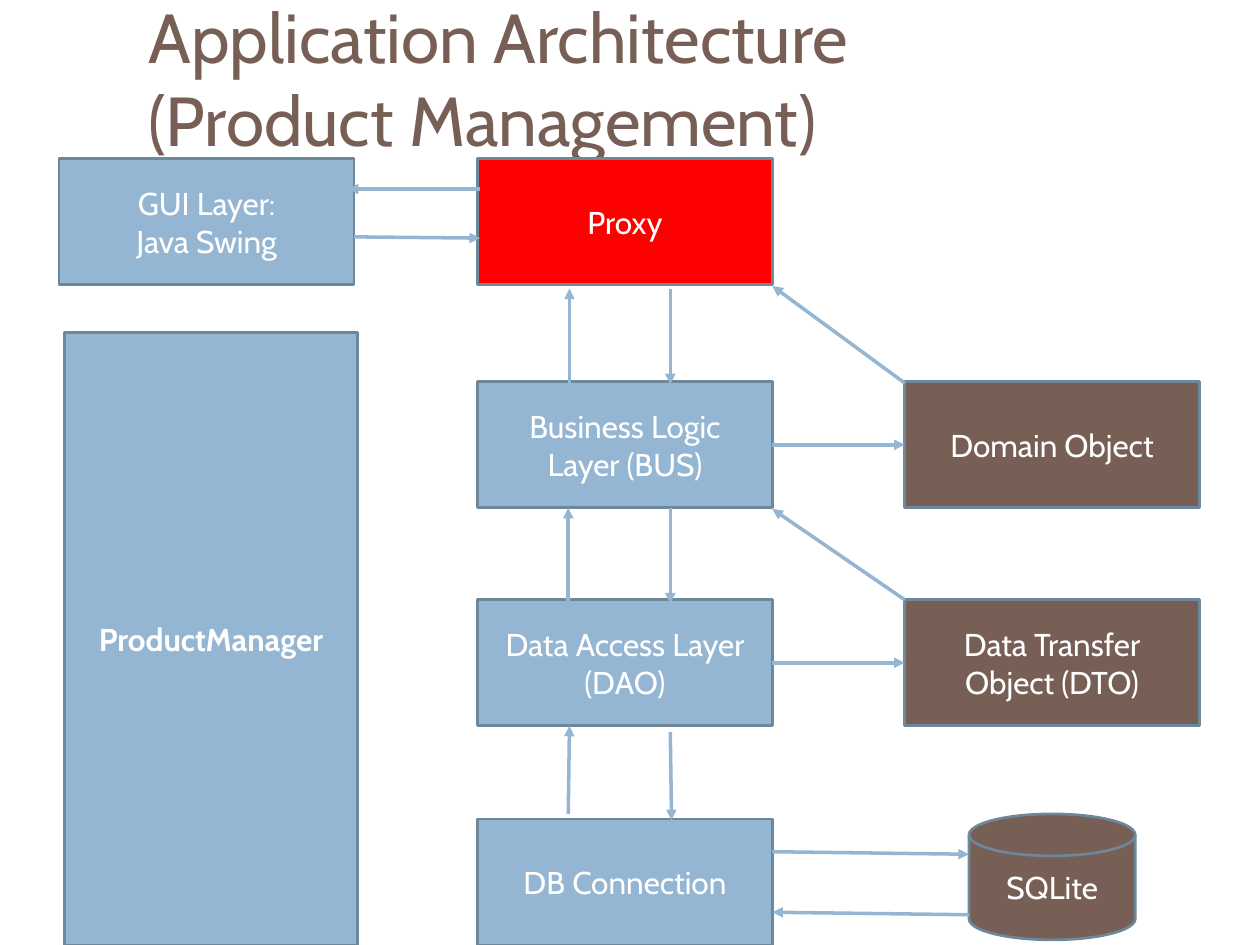
import pptx
import pptx.util
import pptx.dml.color
import pptx.enum.shapes
import pptx.enum.text
import pptx.oxml
import pptx.oxml.ns
from dataclasses import dataclass

Inches = pptx.util.Inches
Pt = pptx.util.Pt
Shape = pptx.enum.shapes.MSO_SHAPE


@dataclass(frozen=True)
class Theme:
    font: str = "Cabin"
    blue: str = "94B6D2"
    brown: str = "775F55"
    red: str = "FF0000"
    outline: str = "6D879B"
    white: str = "FFFFFF"
    title_size: float = 39.6
    label_size: float = 18
    outline_width: float = 1.5
    arrow_width: float = 2


theme = Theme()


def color(value):
    return pptx.dml.color.RGBColor.from_string(value)


def add_run(paragraph, text, size, text_color, bold=False):
    run = paragraph.add_run()
    run.text = text
    run.font.name = theme.font
    run.font.size = Pt(size)
    run.font.bold = bold
    run.font.color.rgb = color(text_color)


presentation = pptx.Presentation()
presentation.slide_width = Inches(10)
presentation.slide_height = Inches(7.5)
slide = presentation.slides.add_slide(presentation.slide_layouts[6])

title = slide.shapes.add_textbox(Inches(1.08), Inches(0.07), Inches(8.92), Inches(1.08))
title.text_frame.word_wrap = True
title.text_frame.vertical_anchor = pptx.enum.text.MSO_ANCHOR.MIDDLE
paragraph = title.text_frame.paragraphs[0]
add_run(paragraph, "Application Architecture", theme.title_size, theme.brown)
paragraph.add_line_break()
add_run(paragraph, "(Product Management)", theme.title_size, theme.brown)

gui_left, layer_left, object_left = 0.47, 3.79, 7.18
proxy_top, bus_top, dao_top, connection_top = 1.26, 3.03, 4.76, 6.5
box_width, box_height = 2.34, 1
layer_right = layer_left + box_width

boxes = [
    ("proxy", ["Proxy"], layer_left, proxy_top, theme.red),
    ("bus", ["Business Logic Layer (BUS)"], layer_left, bus_top, theme.blue),
    ("dao", ["Data Access Layer (DAO)"], layer_left, dao_top, theme.blue),
    ("connection", ["DB Connection"], layer_left, connection_top, theme.blue),
    ("dto", ["Data Transfer Object (DTO)"], object_left, dao_top, theme.brown),
    ("domain", ["Domain Object"], object_left, bus_top, theme.brown),
    ("gui", ["GUI Layer:", "Java Swing"], gui_left, proxy_top, theme.blue),
]
nodes = [
    (name, lines, Shape.RECTANGLE, left, top, box_width, box_height, fill)
    for name, lines, left, top, fill in boxes
] + [
    ("manager", ["ProductManager"], Shape.RECTANGLE, 0.51, 2.64, 2.33, 4.86, theme.blue),
    ("database", ["SQLite"], Shape.FLOWCHART_MAGNETIC_DISK, 7.69, 6.46, 1.32, 1, theme.brown),
]

shapes = {}
for name, lines, kind, left, top, width, height, fill in nodes:
    shape = slide.shapes.add_shape(kind, Inches(left), Inches(top), Inches(width), Inches(height))
    shape.shadow.inherit = False
    shape.fill.solid()
    shape.fill.fore_color.rgb = color(fill)
    shape.line.color.rgb = color(theme.outline)
    shape.line.width = Pt(theme.outline_width)
    frame = shape.text_frame
    frame.word_wrap = True
    frame.vertical_anchor = pptx.enum.text.MSO_ANCHOR.MIDDLE
    for index, line in enumerate(lines):
        paragraph = frame.paragraphs[0] if index == 0 else frame.add_paragraph()
        paragraph.alignment = pptx.enum.text.PP_ALIGN.CENTER
        add_run(paragraph, line, theme.label_size, theme.white, bold=name == "manager")
    shapes[name] = shape

arrows = [
    (4.52, 3.05, 4.52, 2.29, None, None),
    (5.32, 2.29, 5.32, 3.05, None, None),
    (4.51, 4.79, 4.51, 4.03, None, None),
    (5.32, 4.03, 5.32, 4.79, None, None),
    (4.51, 6.46, 4.52, 5.76, None, None),
    (5.32, 5.81, 5.33, 6.51, None, None),
    (layer_right, 6.76, 7.69, 6.78, None, None),
    (7.69, 7.26, layer_right, 7.24, None, None),
    (object_left, dao_top, layer_right, 4.04, None, None),
    (object_left, 3.04, layer_right, 2.27, None, None),
    (layer_right, 3.53, object_left, 3.53, "bus", "domain"),
    (layer_right, 5.26, object_left, 5.26, "dao", "dto"),
    (2.81, 1.88, 3.81, 1.89, None, None),
    (3.81, 1.5, 2.76, 1.5, None, None),
]
for x1, y1, x2, y2, source, target in arrows:
    connector = slide.shapes.add_connector(
        pptx.enum.shapes.MSO_CONNECTOR.STRAIGHT, Inches(x1), Inches(y1), Inches(x2), Inches(y2)
    )
    if source:
        connector.begin_connect(shapes[source], 3)
        connector.end_connect(shapes[target], 1)
    connector.line.color.rgb = color(theme.blue)
    connector.line.width = Pt(theme.arrow_width)
    properties = connector._element.spPr
    line_format = properties.find(pptx.oxml.ns.qn("a:ln"))
    namespace = pptx.oxml.ns.nsdecls("a")
    line_format.append(pptx.oxml.parse_xml(f'<a:tailEnd {namespace} type="triangle"/>'))
    properties.append(pptx.oxml.parse_xml(f"<a:effectLst {namespace}/>"))

presentation.save("out.pptx")
